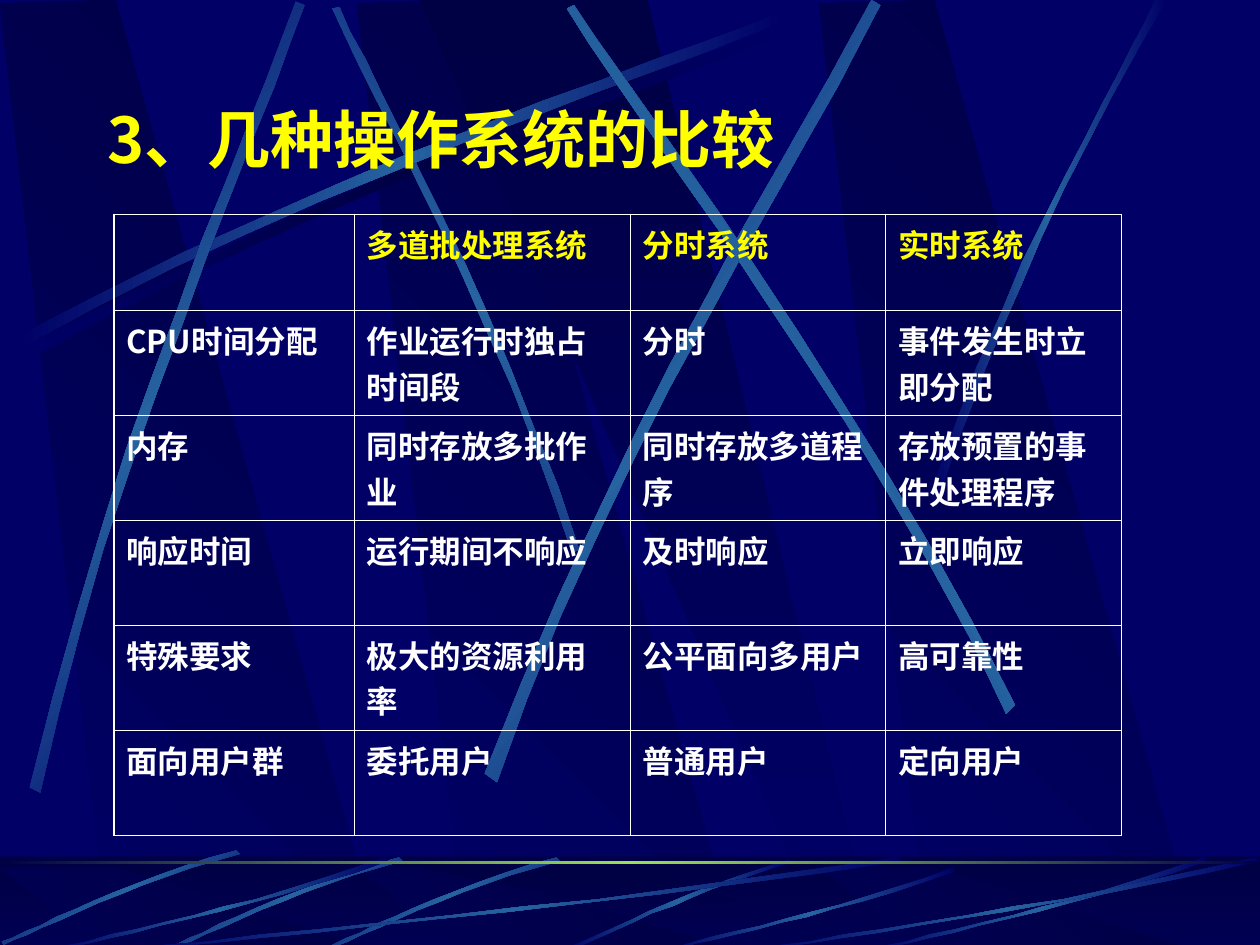
from copy import deepcopy

from lxml import etree
from pptx import Presentation
from pptx.dml.color import RGBColor
from pptx.enum.shapes import MSO_SHAPE
from pptx.enum.text import MSO_ANCHOR, PP_ALIGN
from pptx.oxml.ns import qn
from pptx.util import Pt

RECT = MSO_SHAPE.RECTANGLE
TOP = MSO_ANCHOR.TOP
LEFT = PP_ALIGN.LEFT
CJK = "Noto Sans CJK SC"
HEX = {"navy": "000066", "dark": "000044", "beam": "2663A0",
       "lime": "9CE157", "gold": "FFFF00", "white": "FFFFFF"}
RGB = {name: RGBColor.from_string(code) for name, code in HEX.items()}
BEAM = ("navy", "beam", "navy")

deck = Presentation()
deck.slide_width, deck.slide_height = Pt(720), Pt(540)
slide = deck.slides.add_slide(deck.slide_layouts[5])
shapes = slide.shapes
slide.background.fill.solid()
slide.background.fill.fore_color.rgb = RGB["navy"]


def draw(points, hues, angle=0):
    """Fill an outline, or the rectangle between two corners."""
    if len(points) == 2:
        (x, y), (right, low) = points
        shape = shapes.add_shape(RECT, Pt(x), Pt(y), Pt(right - x), Pt(low - y))
    else:
        pen = shapes.build_freeform(*points[0], scale=Pt(1))
        pen.add_line_segments(points[1:], close=True)
        shape = pen.convert_to_shape()
    shape.shadow.inherit = False
    shape.line.fill.background()
    if len(hues) == 1:
        shape.fill.solid()
        shape.fill.fore_color.rgb = RGB[hues[0]]
        return shape
    shape.fill.gradient()
    shape.fill.gradient_angle = angle
    stops = shape.fill._fill._gradFill.find(qn("a:gsLst"))
    if len(hues) == 3:
        stops.append(deepcopy(stops[-1]))
    for i, (stop, hue) in enumerate(zip(shape.fill.gradient_stops, hues)):
        stop.position = i / (len(hues) - 1)
        stop.color.rgb = RGB[hue]
    return shape


def write(frame, text, size, hue, font=CJK):
    para = frame.paragraphs[0]
    para.alignment = LEFT
    para.space_before = Pt(0)
    run = para.add_run()
    run.text = text
    run.font.size, run.font.bold, run.font.name = Pt(size), True, font
    run.font.color.rgb = RGB[hue]
    east = etree.SubElement(run._r.get_or_add_rPr(), qn("a:ea"))
    east.set("typeface", CJK)


# Slanted panels, full height and then squeezed into the footer;
# beams are two cubic curves: four points out, four points back
panel = [(62, 540), (217.5, 541.5), (65.5, 0), (0, 1.5)]
wedge = [(240, 0.5), (474, 541), (500, 541), (369.5, 0)]
sweep = [(14.4, 198), (204.5, 96.5), (377.3, 42.5), (450.7, 13),
         (452.9, 17.3), (380.2, 49.7), (182.9, 108.7), (16.6, 205.2)]
upper = [
    (sweep, ("navy", "dark", "navy"), 0),
    ([(331.2, 313.9), (281.5, 168.5), (217.4, 55.4), (193.7, 3.6),
      (190.1, 5), (212.4, 56.9), (286.6, 185.8), (326.9, 316.1)], BEAM, 45),
    ([(x - 4.3, y - 5.8) for x, y in sweep], BEAM, 0),
    ([(16.6, 450), (67, 240.5), (141.8, 75.6), (169.2, 1.4),
      (173.5, 2.9), (149, 77.8), (61.9, 265), (23, 452.9)], BEAM, 311.7),
    ([(277.2, 442.1), (358.6, 230.4), (459.4, 73.4), (498.2, 0),
      (502.6, 2.9), (467.3, 77.8), (349.9, 255.6), (283.7, 447.1)], BEAM, 321.6),
    ([(580.3, 403.2), (482.4, 211), (371.5, 68.4), (327.6, 2.9),
      (324, 5), (365, 72.7), (493.2, 234), (575.3, 407.5)], BEAM, 34.8),
    ([(531.4, 283), (586.1, 124.6), (639.4, 47.5), (660.2, 0),
      (667.4, 0), (601.9, 104.4), (553.7, 231.8), (535.7, 285.8)], BEAM, 0),
]

# Footer beams: one steep, three shifted, five stretched from a unit shape
lower = [([(451.4, 491), (386.6, 510.5), (343.4, 534.2), (322.6, 542.9),
           (326.2, 543.6), (352.8, 530.6), (411.1, 504), (452.2, 493.2)], BEAM, 0)]
short = [(318.2, 489.6), (255.6, 507.6), (206.6, 532.8), (184.3, 542.2),
         (185, 543.6), (207.4, 535), (262.8, 506.2), (319.7, 491.8)]
for dx, dy in [(0, 0), (90, 0), (183, 4)]:
    lower.append(([(x - dx, y - dy) for x, y in short], BEAM, 314.9))
unit = [(1, 0.04), (0.57, 0.57), (0.17, 0.85), (0.01, 1),
        (0, 0.99), (0.17, 0.81), (0.62, 0.51), (0.99, 0)]
for left, top, width, height in [(72, 489.6, 444, 54), (30, 489.6, 192, 54),
                                 (379.5, 496, 166, 47.5), (498, 489.6, 192, 54),
                                 (432, 489.6, 288, 54)]:
    lower.append(([(left + u * width, top + v * height) for u, v in unit], BEAM, 0))

# Backdrop, from back to front
for top, squeeze, beams in [(0, 1, upper), (495.5, 0.09, lower)]:
    if top:
        draw([(0, 489.6), (720, 543.6)], ("dark", "navy"), 270)
    for dx in (204, 0, 468):
        draw([(x + dx, top + y * squeeze) for x, y in panel], ("navy", "dark"), 45)
    draw([(x, top + y * squeeze) for x, y in wedge], ("dark", "navy"), 270)
    if top:
        veil = draw([(0, 489), (720, 543)], ("dark",))
        tint = veil.fill._xPr.find(".//" + qn("a:srgbClr"))
        etree.SubElement(tint, qn("a:alpha")).set("val", "50000")
    for (a, b, c, d, e, f, g, h), hues, angle in beams:
        outline = []
        for p, q, r, s in [(a, b, c, d), (e, f, g, h)]:
            for t in [i / 12 for i in range(13)]:
                k = 1 - t
                outline.append(tuple(
                    k**3 * p[n] + 3 * k * k * t * q[n] + 3 * k * t * t * r[n] + t**3 * s[n]
                    for n in (0, 1)))
        draw(outline, hues, angle)
draw([(0, 492.3), (720, 494)], ("dark", "lime", "dark"))

# Title, in front of the backdrop
title = shapes.title
shapes._spTree.append(title._element)
title.left, title.top, title.width, title.height = Pt(54), Pt(54), Pt(584), Pt(60)
title.text_frame.vertical_anchor = TOP
title.text_frame.word_wrap = True
write(title.text_frame, "3、几种操作系统的比较", 36, "gold")

# Comparison table
rows = [
    ["", "多道批处理系统", "分时系统", "实时系统"],
    ["CPU时间分配", "作业运行时独占时间段", "分时", "事件发生时立即分配"],
    ["内存", "同时存放多批作业", "同时存放多道程序", "存放预置的事件处理程序"],
    ["响应时间", "运行期间不响应", "及时响应", "立即响应"],
    ["特殊要求", "极大的资源利用率", "公平面向多用户", "高可靠性"],
    ["面向用户群", "委托用户", "普通用户", "定向用户"],
]
widths = [137.5, 157.5, 146, 135]
heights = [55] + [60] * 5
table = shapes.add_table(len(rows), len(widths), Pt(65), Pt(122.5),
                         Pt(sum(widths)), Pt(sum(heights))).table
table.first_row = table.horz_banding = False
for col, width in zip(table.columns, widths):
    col.width = Pt(width)
for row, height in zip(table.rows, heights):
    row.height = Pt(height)
for i, row in enumerate(rows):
    for j, text in enumerate(row):
        cell = table.cell(i, j)
        outer = {"L": j == 0, "R": j == len(widths) - 1,
                 "T": i == 0, "B": i == len(rows) - 1}
        for side, edge in outer.items():
            line = etree.SubElement(cell._tc.get_or_add_tcPr(), qn("a:ln" + side))
            line.set("w", str(Pt(1.08 if edge else 0.45)))
            ink = etree.SubElement(line, qn("a:solidFill"))
            etree.SubElement(ink, qn("a:srgbClr")).set("val", HEX["white"])
        cell.fill.background()
        if text:
            write(cell.text_frame, text, 18, "white" if i else "gold",
                  font="Arial" if i and j else CJK)

deck.save("out.pptx")
